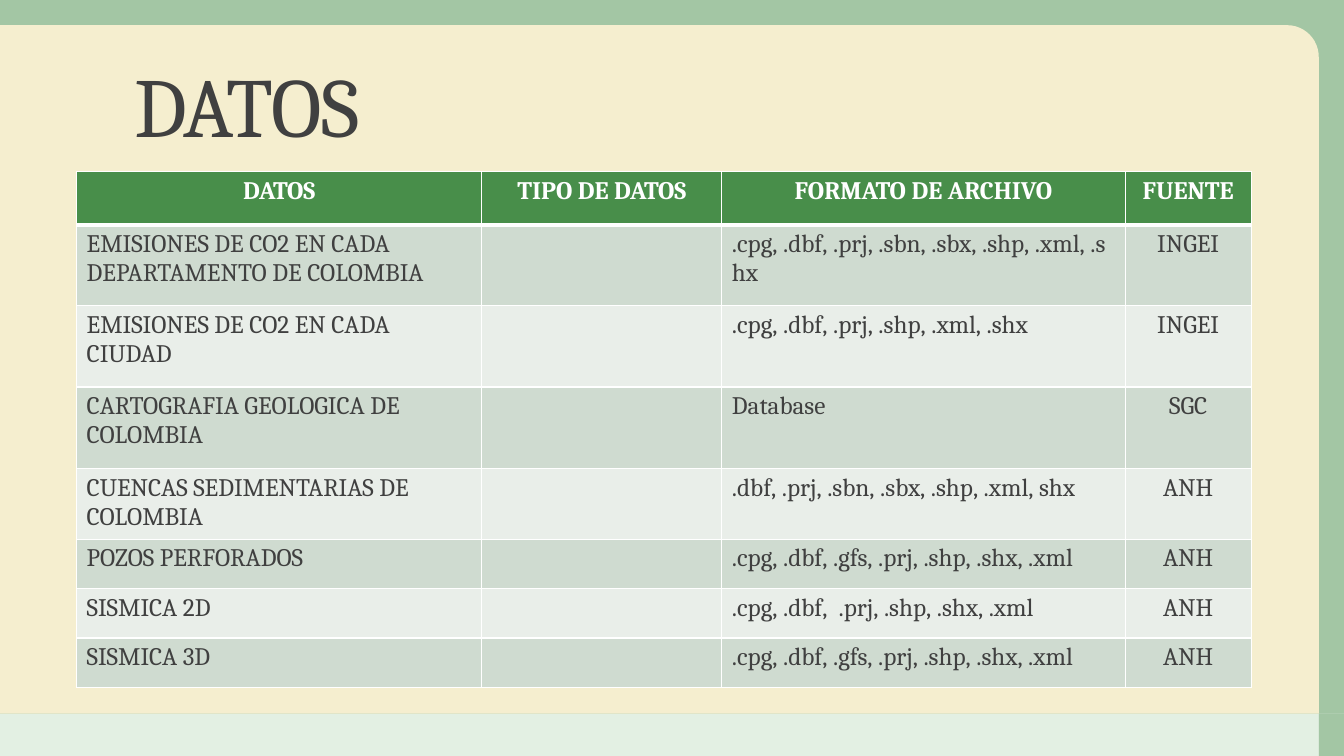
from pptx import Presentation
from pptx.dml.color import RGBColor as Rgb
from pptx.enum.shapes import MSO_SHAPE as Form
from pptx.enum.text import MSO_ANCHOR as Anchor, MSO_AUTO_SIZE as Fit, PP_ALIGN as Align
from pptx.oxml.ns import qn
from pptx.oxml.xmlchemy import OxmlElement as Node
from pptx.util import Inches, Pt

HUES = {"green": "488E4A", "mint": "D8EBD8", "cream": "F5EECF", "ink": "404040",
        "white": "FFFFFF", "dark": "CFDBD0", "light": "E9EEE9"}
FONT = "Cambria"
WIDE, HIGH = 13.33, 7.5
EDGE, FLOOR = 13.08, 7.08
COLS = [4.02, 2.38, 4, 1.25]
ROWS = [0.53, 0.8, 0.81, 0.81, 0.7, 0.49, 0.49, 0.49]
HEADS = ["DATOS", "TIPO DE DATOS", "FORMATO DE ARCHIVO", "FUENTE"]
DATA = [
    ["EMISIONES DE CO2 EN CADA DEPARTAMENTO DE COLOMBIA",
     ".cpg, .dbf, .prj, .sbn, .sbx, .shp, .xml, .shx", "INGEI"],
    ["EMISIONES DE CO2 EN CADA CIUDAD", ".cpg, .dbf, .prj, .shp, .xml, .shx", "INGEI"],
    ["CARTOGRAFIA GEOLOGICA DE COLOMBIA", "Database", "SGC"],
    ["CUENCAS SEDIMENTARIAS DE COLOMBIA", ".dbf, .prj, .sbn, .sbx, .shp, .xml, shx", "ANH"],
    ["POZOS PERFORADOS", ".cpg, .dbf, .gfs, .prj, .shp, .shx, .xml", "ANH"],
    ["SISMICA 2D", ".cpg, .dbf,  .prj, .shp, .shx, .xml", "ANH"],
    ["SISMICA 3D", ".cpg, .dbf, .gfs, .prj, .shp, .shx, .xml", "ANH"],
]


def write(frame, text, size=18, hue="ink", bold=False, align=Align.LEFT, line=None, track=None):
    para = frame.paragraphs[0]
    para.alignment = align
    para.line_spacing = line
    run = para.add_run()
    run.text = text
    font = run.font
    font.name, font.size, font.bold = FONT, Pt(size), bold
    font.color.rgb = Rgb.from_string(HUES[hue])
    if track:
        run._r.get_or_add_rPr().set("spc", str(track))


def panel(slide, box, hue, alpha=100, form=Form.RECTANGLE, curve=None):
    shape = slide.shapes.add_shape(form, *map(Inches, box))
    shape.shadow.inherit = False
    shape.line.fill.background()
    shape.fill.solid()
    shape.fill.fore_color.rgb = Rgb.from_string(HUES[hue])
    if curve:
        shape.adjustments[0] = curve
    if alpha < 100:
        node = Node("a:alpha")
        node.set("val", str(alpha * 1000))
        shape.fill._xPr.find(".//" + qn("a:srgbClr")).append(node)


def border(cell, base):
    props = cell._tc.get_or_add_tcPr()
    for spot, (side, width) in enumerate([("L", 1), ("R", 1), ("T", 1), ("B", base)]):
        line = Node("a:ln" + side)
        line.set("w", str(Pt(width)))
        fill, tone = Node("a:solidFill"), Node("a:srgbClr")
        tone.set("val", HUES["white"])
        fill.append(tone)
        line.append(fill)
        props.insert(spot, line)


def title(slide, text):
    head = slide.shapes.title
    head.left, head.top, head.width, head.height = map(Inches, (1.23, 0.29, 10.5, 1.3))
    frame = head.text_frame
    frame.auto_size = Fit.NONE
    frame.vertical_anchor = Anchor.BOTTOM
    write(frame, text, size=60, line=0.9, track=-50)


def table(slide):
    size = map(Inches, (0.76, 1.7, sum(COLS), sum(ROWS)))
    grid = slide.shapes.add_table(len(ROWS), len(COLS), *size).table
    for col, width in zip(grid.columns, COLS):
        col.width = Inches(width)
    lines = [HEADS] + [[name, "", kind.replace(" ", chr(160)), source]
                       for name, kind, source in DATA]
    for r, line in enumerate(lines):
        grid.rows[r].height = Inches(ROWS[r])
        first = r == 0
        fill = "green" if first else "dark" if r % 2 else "light"
        for c, text in enumerate(line):
            cell = grid.cell(r, c)
            cell.fill.solid()
            cell.fill.fore_color.rgb = Rgb.from_string(HUES[fill])
            border(cell, 3 if first else 1)
            if text:
                write(cell.text_frame, text, hue="white" if first else "ink", bold=first,
                      align=Align.CENTER if first or c == 3 else Align.LEFT)


def main():
    deck = Presentation()
    deck.slide_width, deck.slide_height = Inches(WIDE), Inches(HIGH)
    slide = deck.slides.add_slide(deck.slide_layouts[5])
    panel(slide, (0, FLOOR, EDGE, HIGH - FLOOR), "mint", 70)
    panel(slide, (EDGE, FLOOR, WIDE - EDGE, HIGH - FLOOR), "green", 50)
    panel(slide, (0, 0, WIDE, FLOOR), "green", 50)
    panel(slide, (0, 0.25, EDGE, FLOOR - 0.25), "cream", form=Form.ROUND_1_RECTANGLE, curve=0.046)
    tree = slide.shapes._spTree
    tree.append(slide.shapes.title._element)
    title(slide, "DATOS")
    table(slide)
    deck.save("out.pptx")


if __name__ == "__main__":
    main()
